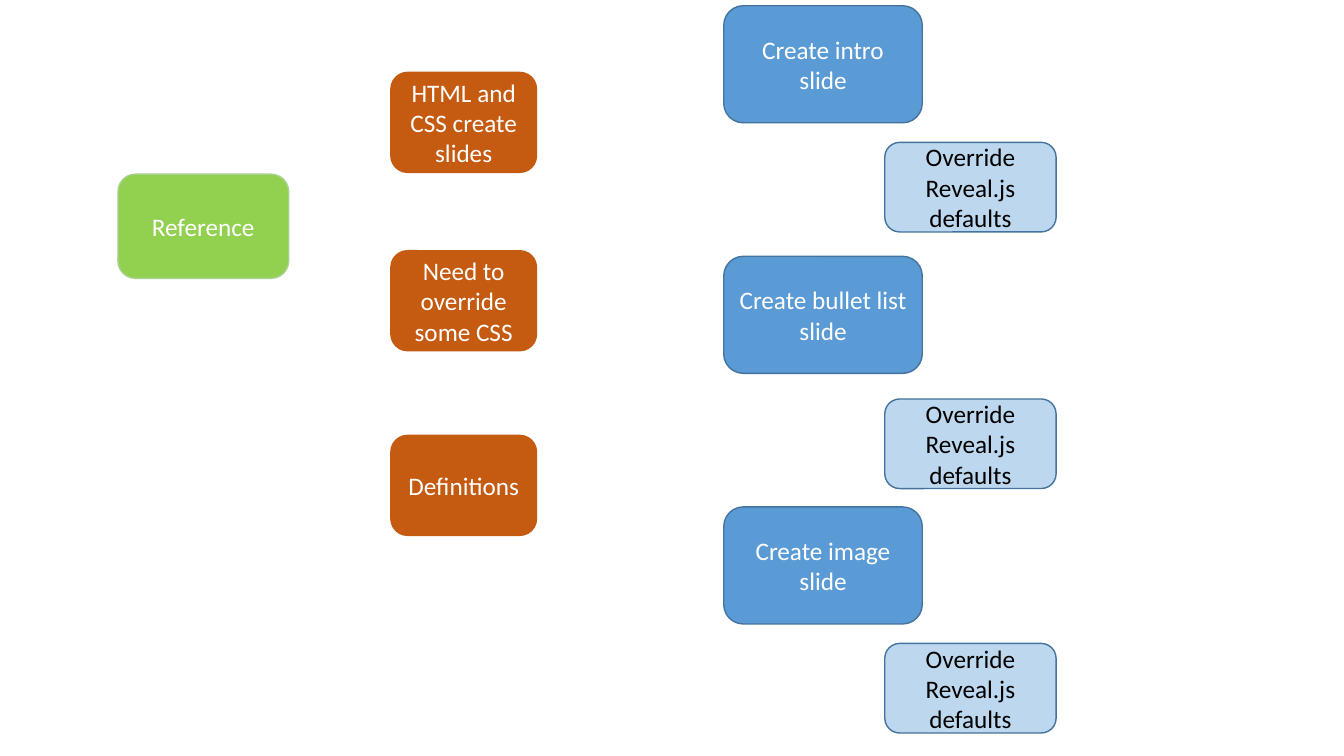
"""Build a slide of rounded boxes that plans a set of Reveal.js slides."""
from pptx import Presentation
from pptx.dml.color import RGBColor
from pptx.enum.shapes import MSO_SHAPE as Shape
from pptx.enum.text import MSO_ANCHOR as Anchor, PP_ALIGN as Align
from pptx.util import Pt

COLORS = {
    "green": "92D050", "green_line": "A9D18E",
    "orange": "C55A11",
    "blue": "5B9BD5", "pale_blue": "BDD7EE", "blue_line": "43739E",
    "white": "FFFFFF", "black": "000000",
}


def color(name):
    return RGBColor.from_string(COLORS[name])


presentation = Presentation()
presentation.slide_width, presentation.slide_height = Pt(960), Pt(540)
slide = presentation.slides.add_slide(presentation.slide_layouts[6])

override = "Override Reveal.js defaults"
groups = [
    (84.3, 121.9, 74.4, "green", "green_line", "white",
     [(124.4, "Reference")]),
    (279.2, 104, 71.4, "orange", "orange", "white",
     [(51.7, "HTML and CSS create slides"),
      (179.1, "Need to override some CSS"),
      (311, "Definitions")]),
    (517, 141.8, 83.6, "blue", "blue_line", "white",
     [(4.1, "Create intro slide"),
      (183.1, "Create bullet list slide"),
      (362.1, "Create image slide")]),
    (632, 122.4, 64, "pale_blue", "blue_line", "black",
     [(101.7, override), (285, override), (459.6, override)]),
]

for left, width, height, fill, line, font_color, boxes in groups:
    for top, text in boxes:
        shape = slide.shapes.add_shape(
            Shape.ROUNDED_RECTANGLE, Pt(left), Pt(top), Pt(width), Pt(height))
        shape.shadow.inherit = False
        shape.fill.solid()
        shape.fill.fore_color.rgb = color(fill)
        shape.line.color.rgb = color(line)
        shape.line.width = Pt(1)
        text_frame = shape.text_frame
        text_frame.text = text
        text_frame.word_wrap = True
        text_frame.vertical_anchor = Anchor.MIDDLE
        paragraph = text_frame.paragraphs[0]
        paragraph.alignment = Align.CENTER
        font = paragraph.runs[0].font
        font.name, font.size = "Calibri", Pt(18)
        font.color.rgb = color(font_color)

presentation.save("out.pptx")
